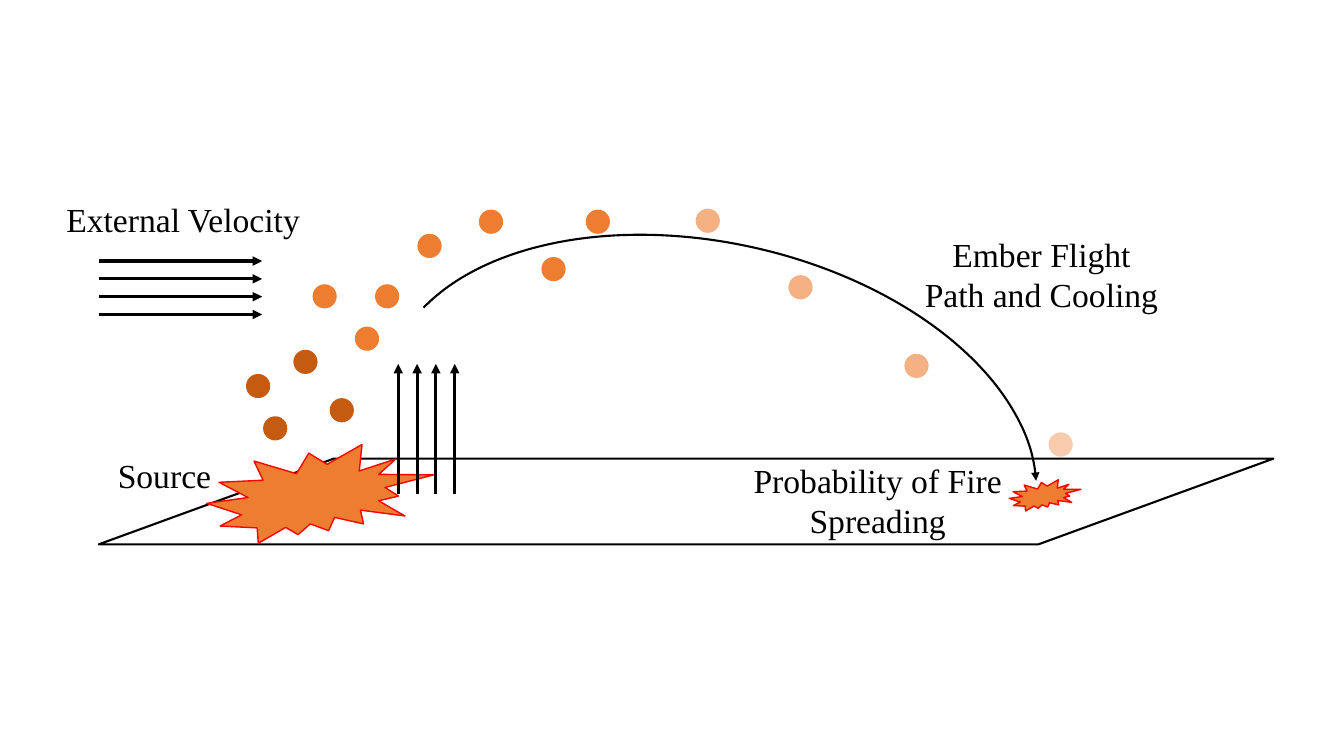
from lxml.etree import SubElement
from pptx import Presentation
from pptx.dml.color import RGBColor
from pptx.enum.shapes import MSO_CONNECTOR, MSO_SHAPE
from pptx.enum.text import MSO_AUTO_SIZE, PP_ALIGN
from pptx.oxml.ns import qn
from pptx.util import Inches, Pt

BLACK, FLAME, RED = "000000", "ED7D31", "FF0000"
EMBER_SIZE = 0.24
EMBERS = {
    "C55A11": [(0.83, 1.88), (0.17, 2.06), (0.47, 1.4), (0, 1.64)],
    FLAME: [(1.28, 0.75), (1.08, 1.17), (0.66, 0.75), (2.31, 0.01),
            (2.93, 0.48), (3.37, 0.01), (1.7, 0.25)],
    "F4B183": [(4.46, 0), (5.38, 0.66), (6.53, 1.44)],
    "F8CBAD": [(7.96, 2.22)],
}


def color(hex_value):
    return RGBColor.from_string(hex_value)


def add_arrowhead(line_shape):
    line = line_shape.line._get_or_add_ln()
    SubElement(line, qn("a:tailEnd"), type="triangle")


def add_figure(slide, preset, box, fill=None, outline=None, weight=1):
    figure = slide.shapes.add_shape(preset, *map(Inches, box))
    figure.shadow.inherit = False
    if fill:
        figure.fill.solid()
        figure.fill.fore_color.rgb = color(fill)
    else:
        figure.fill.background()
    if outline:
        figure.line.color.rgb = color(outline)
        figure.line.width = Pt(weight)
    else:
        figure.line.fill.background()
    return figure


def add_fire(slide, box):
    add_figure(slide, MSO_SHAPE.EXPLOSION2, box, FLAME, RED)


def add_flow(slide, box, upward, count=4):
    left, top, width, height = box
    gap = (width if upward else height) / (count - 1)
    for index in range(count):
        if upward:
            x = left + index * gap
            ends = (x, top + height, x, top)
        else:
            y = top + index * gap
            ends = (left, y, left + width, y)
        arrow = slide.shapes.add_connector(MSO_CONNECTOR.STRAIGHT, *map(Inches, ends))
        arrow.line.color.rgb = color(BLACK)
        arrow.line.width = Pt(2.25)
        add_arrowhead(arrow)
        SubElement(arrow._element.spPr, qn("a:effectLst"))


def add_flight_path(slide, box):
    flight_path = add_figure(slide, MSO_SHAPE.ARC, box, outline=BLACK, weight=1.5)
    flight_path.rotation = 12.7
    flight_path.adjustments[0] = 115.62
    flight_path.adjustments[1] = 212.26
    add_arrowhead(flight_path)


def add_embers(slide, left, top):
    for shade, offsets in EMBERS.items():
        for x, y in offsets:
            box = (left + x, top + y, EMBER_SIZE, EMBER_SIZE)
            add_figure(slide, MSO_SHAPE.OVAL, box, shade)


def add_label(slide, wording, box, wrapped=False):
    label = slide.shapes.add_textbox(*map(Inches, box))
    frame = label.text_frame
    frame.text = wording
    frame.word_wrap = wrapped
    frame.auto_size = MSO_AUTO_SIZE.SHAPE_TO_FIT_TEXT
    paragraph = frame.paragraphs[0]
    paragraph.alignment = PP_ALIGN.CENTER if wrapped else PP_ALIGN.LEFT
    font = paragraph.runs[0].font
    font.name = "Times New Roman"
    font.size = Pt(24)
    font.color.rgb = color(BLACK)


def build_ember_slide(deck):
    slide = deck.slides.add_slide(deck.slide_layouts[6])
    add_figure(slide, MSO_SHAPE.FLOWCHART_DATA, (0.98, 4.55, 11.65, 0.85),
               outline=BLACK, weight=1.5)
    add_fire(slide, (2.05, 4.41, 2.25, 0.98))
    add_flow(slide, (3.95, 3.61, 0.56, 1.29), upward=True)
    add_flow(slide, (0.98, 2.59, 1.62, 0.53), upward=False)
    add_flight_path(slide, (3.77, 2.41, 6.56, 3.99))
    add_embers(slide, 2.44, 2.07)
    add_label(slide, "External Velocity", (0.56, 1.92, 2.54, 0.5))
    add_label(slide, "Ember Flight Path and Cooling", (9.03, 2.27, 2.6, 0.91), wrapped=True)
    add_label(slide, "Source", (1.07, 4.46, 1.14, 0.5))
    add_label(slide, "Probability of Fire Spreading", (7.08, 4.51, 3.25, 0.91), wrapped=True)
    add_fire(slide, (10.01, 4.76, 0.71, 0.31))


deck = Presentation()
deck.slide_width, deck.slide_height = Inches(13.33), Inches(7.5)
build_ember_slide(deck)
deck.save("out.pptx")
